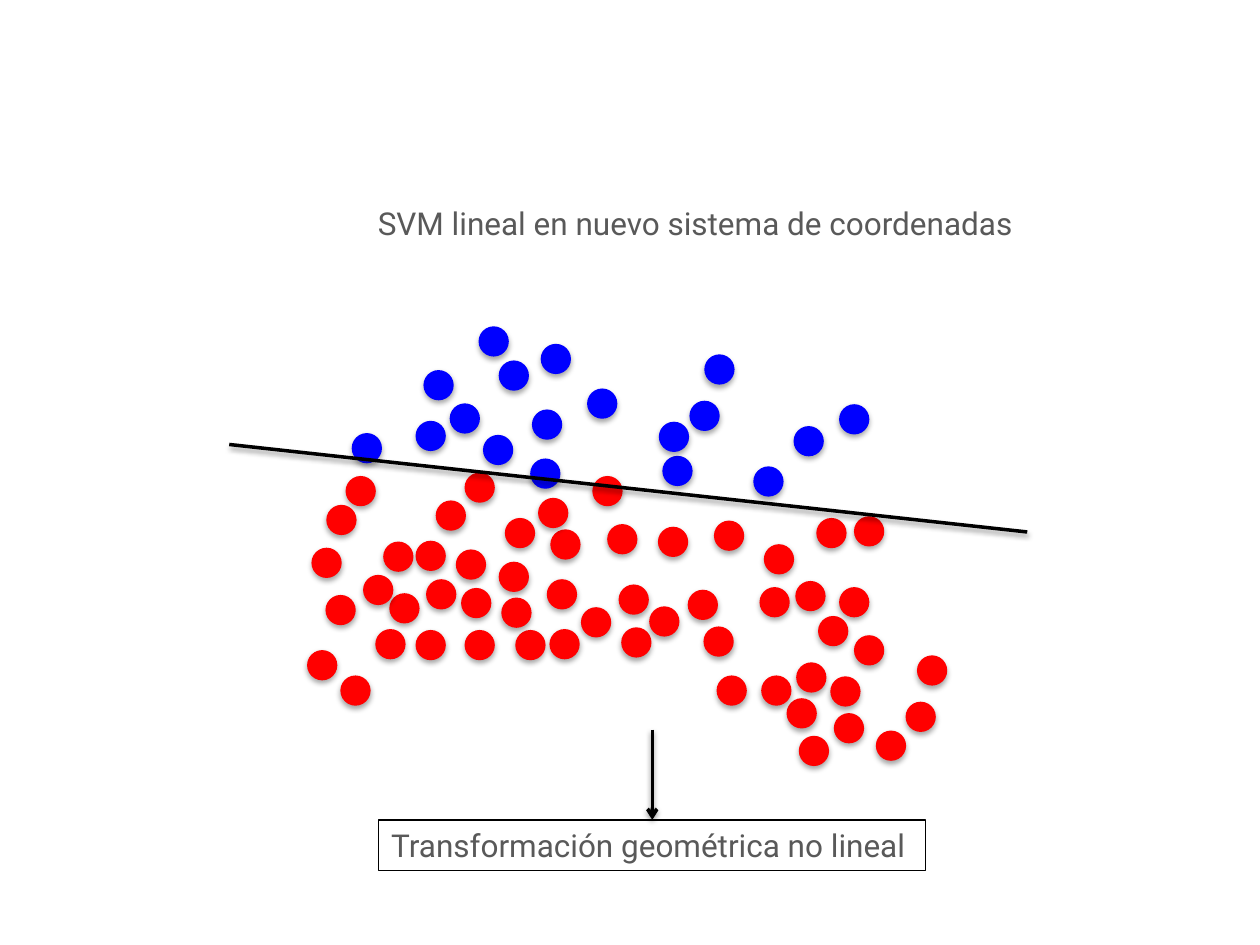
from lxml.etree import SubElement
from pptx import Presentation
from pptx.dml.color import RGBColor
from pptx.enum.shapes import MSO_CONNECTOR, MSO_SHAPE
from pptx.enum.text import MSO_ANCHOR, MSO_AUTO_SIZE, PP_ALIGN
from pptx.oxml.ns import qn
from pptx.util import Pt

BLACK, GREY, RED, BLUE = "000000", "595959", "FF0000", "0000FF"
DOT_SIZE = 17.28

# Top left corners of the dots, measured from the corner of the plot.
DOTS = {
    RED: [
        (74, 100), (68.5, 145), (62.5, 123), (88.5, 150), (90.5, 174), (163.5, 86),
        (137.5, 145), (139.5, 116.5), (119.5, 174), (157, 161), (39.5, 173.5),
        (178.5, 148), (113.5, 110), (139, 173.5), (62.5, 174), (110, 135),
        (0.5, 185.5), (85.5, 128), (19.5, 200), (227, 172), (3, 127), (44, 123.5),
        (201, 115), (47.5, 153), (291.5, 110), (32.5, 142.5), (132.5, 98.5),
        (313, 109), (111.5, 155.5), (90.5, 84), (180, 172.5), (22.5, 86),
        (11.5, 102.5), (261.5, 125), (233, 111.5), (172, 113.5), (11, 154),
        (301.5, 221.5), (281.5, 234.5), (299.5, 200.5), (313, 177), (280, 192.5),
        (279.5, 146), (234.5, 200), (304.5, 149.5), (196, 160.5), (259, 149.5),
        (218, 151), (274.5, 213), (342.5, 215), (325.5, 231.5), (292.5, 166),
        (349, 188.5), (260, 200),
    ],
    BLUE: [
        (134, 10.5), (67, 25.5), (110, 20), (62.5, 54.5), (128, 76), (160.5, 36),
        (219, 43), (203.5, 74.5), (201.5, 55), (278.5, 57.5), (227.5, 16.5),
        (255.5, 80.5), (26, 61.5), (101, 62.5), (82, 44.5), (129, 48),
        (304.5, 45), (98.5, 0.5),
    ],
}


def color(value):
    return RGBColor.from_string(value)


def add_shadow(shape, opacity, distance):
    effects = SubElement(shape._element.spPr, qn("a:effectLst"))
    shadow = SubElement(effects, qn("a:outerShdw"), blurRad=str(Pt(3.1)),
                        dist=str(Pt(distance)), dir="5400000", rotWithShape="0")
    tint = SubElement(shadow, qn("a:srgbClr"), val=BLACK)
    SubElement(tint, qn("a:alpha"), val=str(opacity * 1000))


def add_line(page, start, end):
    line = page.shapes.add_connector(
        MSO_CONNECTOR.STRAIGHT, *(Pt(value) for value in (*start, *end)))
    line.line.color.rgb = color(BLACK)
    line.line.width = Pt(2)
    add_shadow(line, 38, 1.6)
    return line


def write_text(shape, text):
    frame = shape.text_frame
    frame.word_wrap = False
    frame.auto_size = MSO_AUTO_SIZE.SHAPE_TO_FIT_TEXT
    frame.vertical_anchor = MSO_ANCHOR.TOP
    para = frame.paragraphs[0]
    para.text = text
    para.alignment = PP_ALIGN.LEFT
    para.font.name = "Roboto"
    para.font.size = Pt(18)
    para.font.color.rgb = color(GREY)


def add_heading(page, left, top, width, height):
    box = page.shapes.add_textbox(Pt(left), Pt(top), Pt(width), Pt(height))
    write_text(box, "SVM lineal en nuevo sistema de coordenadas")


def add_scatter(page, left, top):
    """Place both classes of dots and the line that separates them."""
    for fill, corners in DOTS.items():
        for x, y in corners:
            dot = page.shapes.add_shape(MSO_SHAPE.OVAL, Pt(left + x), Pt(top + y),
                                        Pt(DOT_SIZE), Pt(DOT_SIZE))
            dot.fill.solid()
            dot.fill.fore_color.rgb = color(fill)
            dot.line.fill.background()
            add_shadow(dot, 35, 1.8)
    add_line(page, (left - 44, top + 68), (left + 412, top + 118))


def add_caption(page, left, top, width, height, arrow_length):
    """Place the framed caption and the arrow that comes down to it."""
    box = page.shapes.add_shape(MSO_SHAPE.RECTANGLE, Pt(left), Pt(top),
                                Pt(width), Pt(height))
    box.shadow.inherit = False
    box.fill.background()
    box.line.color.rgb = color(BLACK)
    box.line.width = Pt(0.75)
    write_text(box, "Transformación geométrica no lineal")

    middle = left + width / 2
    arrow = add_line(page, (middle, top - arrow_length), (middle, top))
    arrow.end_connect(box, 0)
    SubElement(arrow.line._get_or_add_ln(), qn("a:tailEnd"), type="arrow")


def main():
    deck = Presentation()
    deck.slide_width, deck.slide_height = Pt(720), Pt(540)
    page = deck.slides.add_slide(deck.slide_layouts[6])
    add_scatter(page, 175, 186)
    add_heading(page, 208.8, 113, 377.3, 51)
    add_caption(page, 216.5, 468.5, 312.5, 29, arrow_length=51.5)
    deck.save("out.pptx")


if __name__ == "__main__":
    main()
